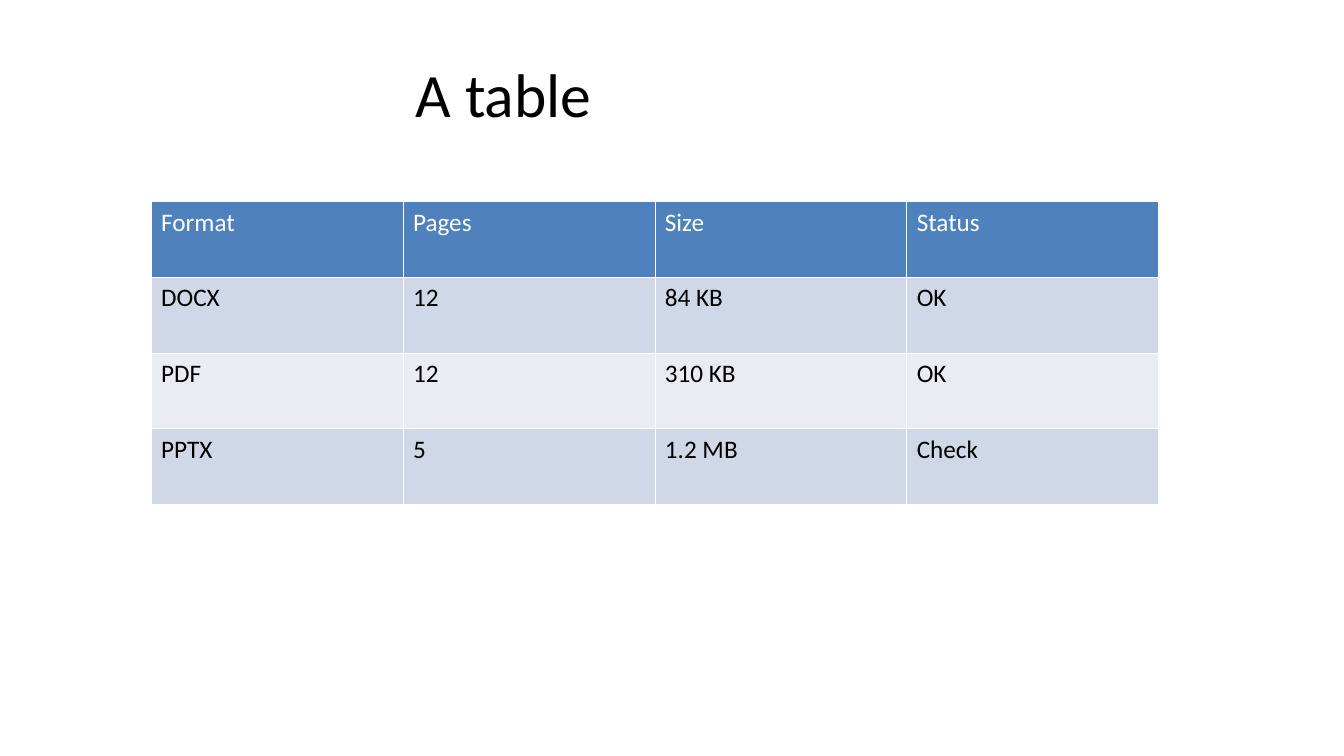
"""Build a slide with a title and a table of file formats."""
from dataclasses import dataclass

from lxml import etree
from pptx import Presentation
from pptx.dml.color import RGBColor
from pptx.enum.text import MSO_ANCHOR, PP_ALIGN
from pptx.oxml.ns import qn
from pptx.slide import Slide
from pptx.table import _Cell
from pptx.text.text import TextFrame
from pptx.util import Emu, Pt

MIDDLE = MSO_ANCHOR.MIDDLE
CENTER = PP_ALIGN.CENTER
EMU_PER_PX = 9144
BLANK_LAYOUT = 6


@dataclass(frozen=True)
class Theme:
    font: str = "Calibri"
    title_size: float = 44
    cell_size: float = 18
    line_spacing: float = 1.02
    border_width: float = 0.45
    border: str = "FFFFFF"
    title_text: str = "000000"
    header_text: str = "FFFFFF"
    header_fill: str = "4F81BD"
    body_text: str = "000000"
    bands: tuple[str, str] = ("D0D8E7", "E9ECF3")


@dataclass(frozen=True)
class Box:
    left: int
    top: int
    width: int
    height: int

    def emu(self) -> tuple[Emu, Emu, Emu, Emu]:
        return px(self.left), px(self.top), px(self.width), px(self.height)


@dataclass(frozen=True)
class FileFormat:
    name: str
    pages: str
    size: str
    status: str

    def values(self) -> tuple[str, ...]:
        return self.name, self.pages, self.size, self.status


THEME = Theme()
TITLE_BOX = Box(50, 30, 900, 125)
TABLE_BOX = Box(150, 200, 1000, 300)
HEADER = FileFormat("Format", "Pages", "Size", "Status")
FORMATS = (
    FileFormat("DOCX", "12", "84 KB", "OK"),
    FileFormat("PDF", "12", "310 KB", "OK"),
    FileFormat("PPTX", "5", "1.2 MB", "Check"),
)


def px(length: int) -> Emu:
    return Emu(length * EMU_PER_PX)


def write(frame: TextFrame, text: str, size: float, color: str) -> None:
    frame.text = text
    font = frame.paragraphs[0].runs[0].font
    font.name = THEME.font
    font.size = Pt(size)
    font.bold = False
    font.color.rgb = RGBColor.from_string(color)


def add_borders(cell: _Cell) -> None:
    properties = cell._tc.get_or_add_tcPr()
    for side in ("a:lnL", "a:lnR", "a:lnT", "a:lnB"):
        line = etree.SubElement(properties, qn(side), w=str(Pt(THEME.border_width)))
        fill = etree.SubElement(line, qn("a:solidFill"))
        etree.SubElement(fill, qn("a:srgbClr"), val=THEME.border)


def add_title(slide: Slide, text: str) -> None:
    frame = slide.shapes.add_textbox(*TITLE_BOX.emu()).text_frame
    frame.word_wrap = True
    frame.vertical_anchor = MIDDLE
    write(frame, text, THEME.title_size, THEME.title_text)
    frame.paragraphs[0].alignment = CENTER


def fill_cell(cell: _Cell, text: str, color: str, fill: str) -> None:
    write(cell.text_frame, text, THEME.cell_size, color)
    cell.text_frame.paragraphs[0].line_spacing = THEME.line_spacing
    add_borders(cell)
    cell.fill.solid()
    cell.fill.fore_color.rgb = RGBColor.from_string(fill)


def add_format_table(slide: Slide) -> None:
    rows = (HEADER, *FORMATS)
    table = slide.shapes.add_table(
        len(rows), len(HEADER.values()), *TABLE_BOX.emu()
    ).table
    for row, file_format in enumerate(rows):
        is_header = row == 0
        color = THEME.header_text if is_header else THEME.body_text
        fill = THEME.header_fill if is_header else THEME.bands[(row - 1) % 2]
        for column, value in enumerate(file_format.values()):
            fill_cell(table.cell(row, column), value, color, fill)


def main() -> None:
    presentation = Presentation()
    presentation.slide_width = px(1334)
    presentation.slide_height = px(750)
    slide = presentation.slides.add_slide(presentation.slide_layouts[BLANK_LAYOUT])
    add_title(slide, "A table")
    add_format_table(slide)
    presentation.save("out.pptx")


if __name__ == "__main__":
    main()
